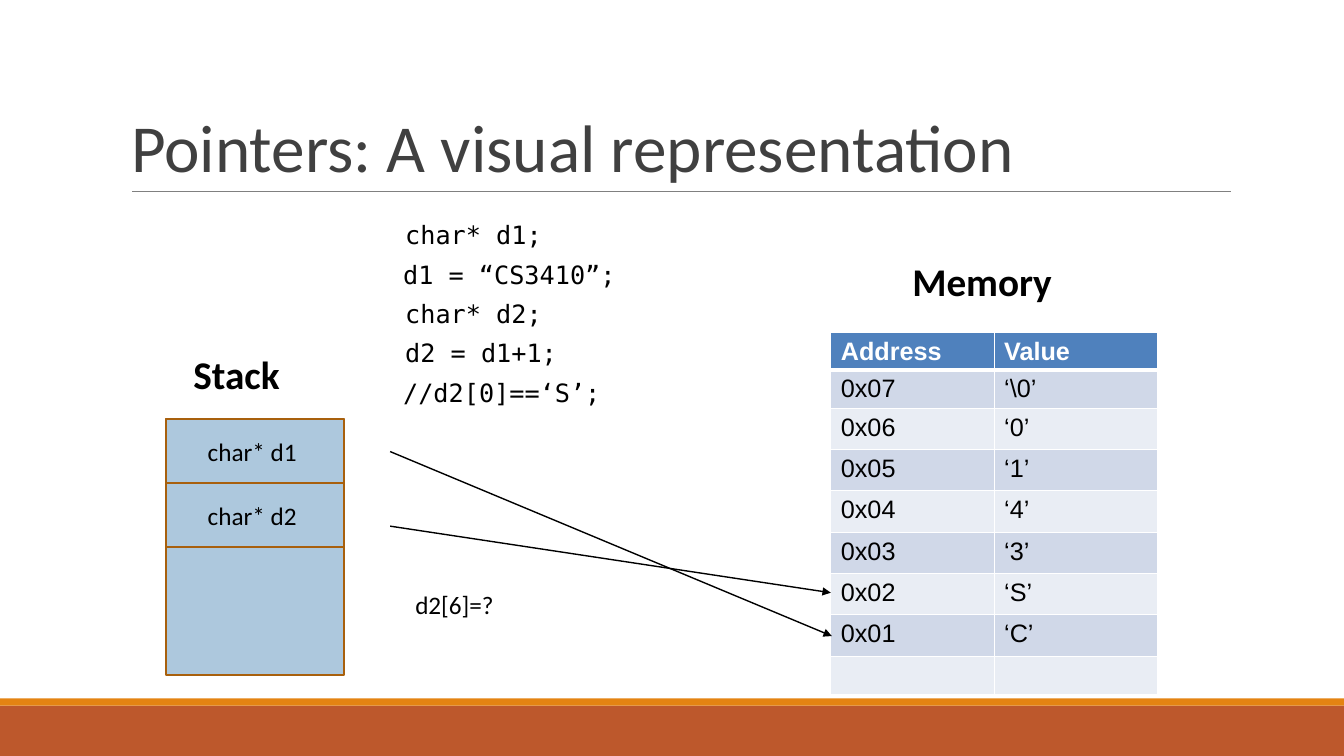
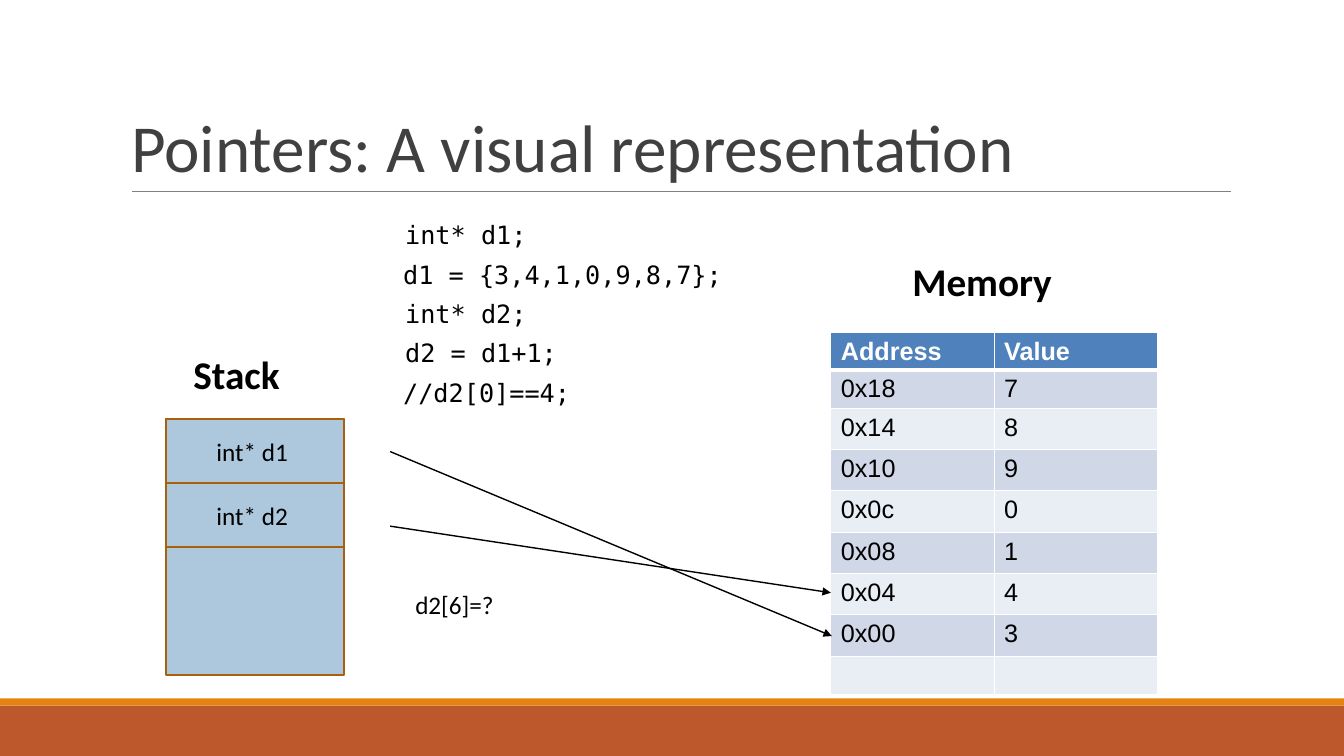
from dataclasses import dataclass
from pptx import Presentation
from pptx.dml.color import RGBColor as RGB
from pptx.enum.shapes import MSO_CONNECTOR as Conn, MSO_SHAPE as Shape
from pptx.enum.text import MSO_ANCHOR as Anchor, MSO_AUTO_SIZE as Auto, PP_ALIGN as Align
from pptx.oxml import parse_xml
from pptx.oxml.ns import nsdecls
from pptx.util import Inches, Pt

# Content
TITLE = "Pointers: A visual representation"
HEAD = ("Address", "Value")
SLIDES = [
    dict(kind="char", data="“CS3410”", check="‘S’",
         addr=["0x07", "0x06", "0x05", "0x04", "0x03", "0x02", "0x01"],
         vals=["‘\\0’", "‘0’", "‘1’", "‘4’", "‘3’", "‘S’", "‘C’"]),
    dict(kind="int", data="{3,4,1,0,9,8,7}", check="4",
         addr=["0x18", "0x14", "0x10", "0x0c", "0x08", "0x04", "0x00"],
         vals=["7", "8", "9", "0", "1", "4", "3"]),
]
CODE = [(3.92, "{kind}* d1;"), (3.9, "d1 = {data};"), (3.92, "{kind}* d2;"),
        (3.92, "d2 = d1+1;"), (3.9, "//d2[0]=={check};")]
VARS = ["d1", "d2"]
LABELS = [("Stack", (1.82, 3.43, 1.41, 0.56)), ("Memory", (8.95, 2.5, 1.7, 0.56))]
ASK = ("d2[6]=?", (4.02, 5.8, 1.21, 0.4))
ARROWS = [(3.87, 4.48, 8.25, 6.31), (3.87, 5.22, 8.24, 5.88)]
BANDS = [("rust", (0, 7, 13.33, 0.5)), ("orange", (0, 6.93, 13.33, 0.07))]
RULE = (1.31, 1.9, 12.21, 1.9)


# Theme
@dataclass(frozen=True)
class Theme:
    rust: str = "BD582C"
    orange: str = "E48312"
    rule: str = "808080"
    title: str = "404040"
    ink: str = "000000"
    white: str = "FFFFFF"
    box: str = "ADC8DD"
    edge: str = "A8600D"
    head: str = "4F81BD"
    rows: tuple = ("D0D8E8", "E9EDF4")
    sans: str = "Calibri"
    mono: str = "DejaVu Sans Mono"
    grid: str = "Arial"
    big: int = 48
    mid: int = 28
    text: int = 18


T = Theme()


# Helpers
def put(item, **vals):
    for key, val in vals.items():
        setattr(item, key, val)


def place(at):
    return [Inches(v) for v in at]


def write(frame, text, size=T.text, name=T.sans, color=T.ink, bold=False, align=Align.LEFT):
    para = frame.paragraphs[0]
    para.alignment = align
    run = para.add_run()
    run.text = text
    put(run.font, size=Pt(size), name=name, bold=bold)
    run.font.color.rgb = RGB.from_string(color)


def paint(item, color):
    item.fill.solid()
    item.fill.fore_color.rgb = RGB.from_string(color)


def rect(slide, at, color, edge=None):
    box = slide.shapes.add_shape(Shape.RECTANGLE, *place(at))
    box.shadow.inherit = False
    paint(box, color)
    if edge:
        box.line.color.rgb = RGB.from_string(edge)
        box.line.width = Pt(1.25)
    else:
        box.line.fill.background()
    return box


def label(slide, text, at, **style):
    frame = slide.shapes.add_textbox(*place(at)).text_frame
    frame.word_wrap = True
    write(frame, text, **style)


def link(slide, ends, color, width, arrow=False):
    line = slide.shapes.add_connector(Conn.STRAIGHT, *place(ends))
    line.line.color.rgb = RGB.from_string(color)
    line.line.width = Pt(width)
    if arrow:
        line.line._get_or_add_ln().append(
            parse_xml(f'<a:tailEnd {nsdecls("a")} type="triangle"/>'))
    line.element.spPr.append(parse_xml(f'<a:effectLst {nsdecls("a")}/>'))
    return line


def border(cell, base):
    props = cell._tc.get_or_add_tcPr()
    for i, (side, width) in enumerate(zip("LRTB", (1, 1, 1, base))):
        props.insert(i, parse_xml(
            f'<a:ln{side} {nsdecls("a")} w="{Pt(width)}"><a:solidFill>'
            f'<a:srgbClr val="{T.white}"/></a:solidFill></a:ln{side}>'))


# Slide parts
def stack(slide, kind):
    left, top, wide, step = 1.65, 4.16, 1.76, 0.63
    rect(slide, (left, top, wide, 2.54), T.box, T.edge)
    for i, var in enumerate(VARS):
        box = rect(slide, (left, top + i * step, wide, 0.64), T.box, T.edge)
        box.text_frame.vertical_anchor = Anchor.MIDDLE
        write(box.text_frame, f"{kind}* {var} ", align=Align.CENTER)


def memory(slide, pairs):
    rows = [HEAD, *pairs, ("", "")]
    highs = [0.37, 0.38] + [0.41] * 6 + [0.38]
    table = slide.shapes.add_table(
        len(rows), 2, *place((8.24, 3.3, 3.24, sum(highs)))).table
    for r, row in enumerate(rows):
        table.rows[r].height = Inches(highs[r])
        top = r == 0
        for c, text in enumerate(row):
            cell = table.cell(r, c)
            cell.margin_bottom = Inches(0.02)
            paint(cell, T.head if top else T.rows[(r - 1) % 2])
            border(cell, 3 if top else 1)
            if text:
                write(cell.text_frame, text, name=T.grid, bold=top,
                      color=T.white if top else T.ink)


def frame(layout, slide):
    parts = [rect(slide, at, getattr(T, name)) for name, at in BANDS]
    parts.append(link(slide, RULE, T.rule, 0.51))
    for part in parts:
        layout.shapes.element.append(part.element)


# Build
deck = Presentation()
put(deck, slide_width=Inches(13.33), slide_height=Inches(7.5))
layout = deck.slide_layouts[5]

for n, page in enumerate(SLIDES):
    slide = deck.slides.add_slide(layout)
    if n == 0:
        frame(layout, slide)
    title = slide.shapes.title
    put(title, **dict(zip(("left", "top", "width", "height"), place((1.2, 0.31, 11, 1.59)))))
    put(title.text_frame, vertical_anchor=Anchor.BOTTOM, auto_size=Auto.NONE)
    write(title.text_frame, TITLE, size=T.big, color=T.title)
    stack(slide, page["kind"])
    for text, at in LABELS:
        label(slide, text, at, size=T.mid, bold=True)
    for i, (left, code) in enumerate(CODE):
        text = code.format(**page)
        label(slide, text, (left, 2.13 + i * 0.39, 0.3 + 0.15 * len(text), 0.4), name=T.mono)
    label(slide, *ASK)
    memory(slide, zip(page["addr"], page["vals"]))
    for ends in ARROWS:
        link(slide, ends, T.ink, 0.99, arrow=True)

deck.save("out.pptx")
